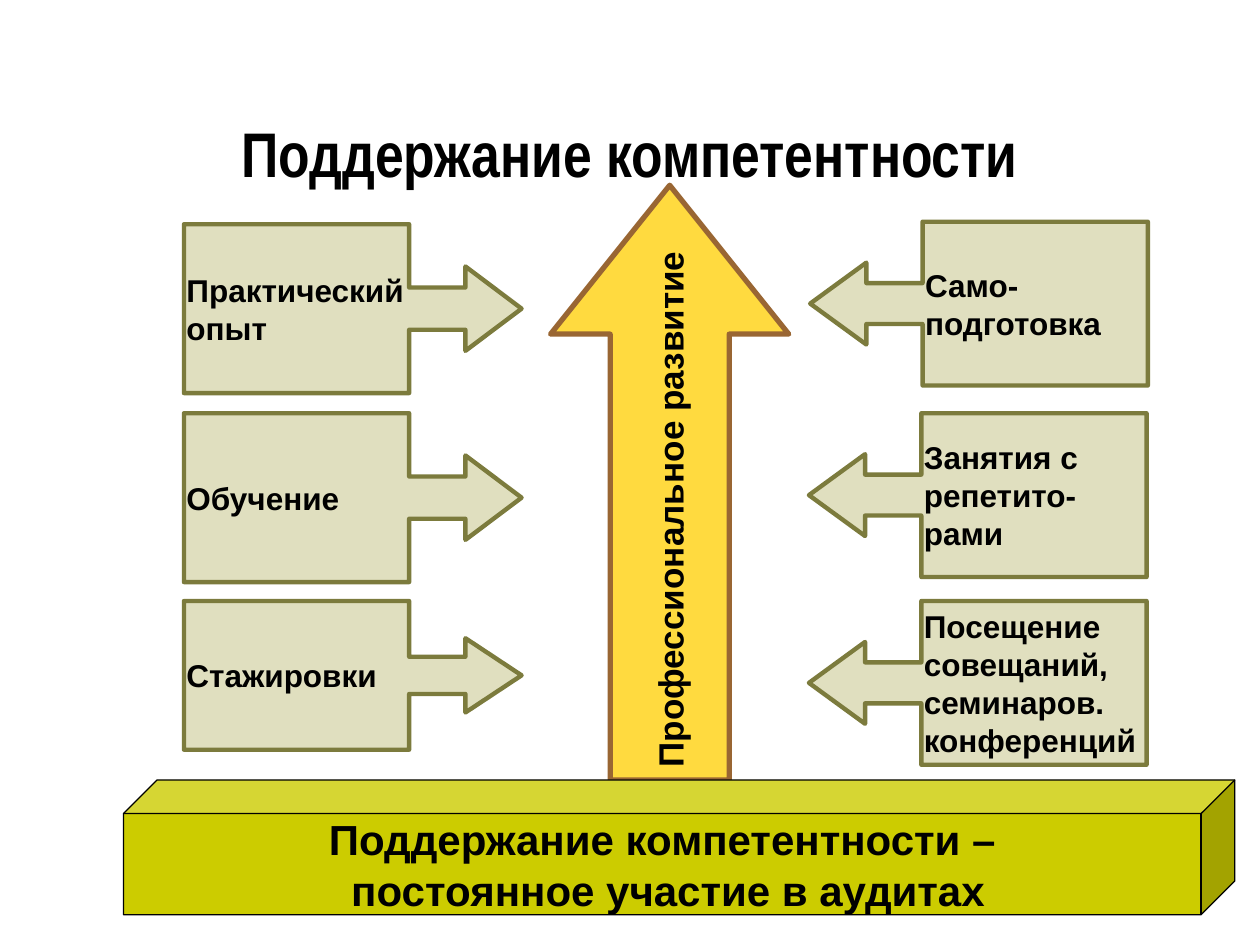
from dataclasses import dataclass

from pptx import Presentation
from pptx.dml.color import RGBColor
from pptx.enum.shapes import MSO_SHAPE as Preset
from pptx.enum.text import MSO_ANCHOR as Anchor, PP_ALIGN as Align
from pptx.shapes.autoshape import Shape
from pptx.util import Inches, Pt

COLORS = {
    "text": "000000",
    "callout": "E0DFBF",
    "callout_edge": "7C7B3D",
    "growth": "FFDA3F",
    "growth_edge": "996633",
    "base": "CCCC00",
}
CALLOUT_WIDTH = 2.68
CALLOUT_HEAD = 0.446


@dataclass
class Callout:
    label: str
    preset: Preset
    left: float
    top: float
    height: float


CALLOUTS = [
    Callout("Практический опыт", Preset.RIGHT_ARROW_CALLOUT, 1.46, 1.78, 1.34),
    Callout("Обучение", Preset.RIGHT_ARROW_CALLOUT, 1.46, 3.28, 1.34),
    Callout("Стажировки", Preset.RIGHT_ARROW_CALLOUT, 1.46, 4.77, 1.18),
    Callout("Само-подготовка", Preset.LEFT_ARROW_CALLOUT, 6.43, 1.76, 1.3),
    Callout("Занятия с репетито-рами", Preset.LEFT_ARROW_CALLOUT, 6.42, 3.28, 1.3),
    Callout("Посещение совещаний, семинаров. конференций",
            Preset.LEFT_ARROW_CALLOUT, 6.42, 4.77, 1.3),
]


def rgb(name: str) -> RGBColor:
    return RGBColor.from_string(COLORS[name])


def write(shape: Shape, text: str, *, size: float, font: str = "Arial",
          align: Align = Align.LEFT, inset_x: float = 0.1,
          inset_y: float = 0.05, wrap: bool = True) -> None:
    frame = shape.text_frame
    frame.word_wrap = wrap
    frame.vertical_anchor = Anchor.MIDDLE
    frame.margin_left = frame.margin_right = Inches(inset_x)
    frame.margin_top = frame.margin_bottom = Inches(inset_y)
    frame.text = text
    for paragraph in frame.paragraphs:
        paragraph.alignment = align
        paragraph.font.name = font
        paragraph.font.size = Pt(size)
        paragraph.font.bold = True
        paragraph.font.color.rgb = rgb("text")


def draw(slide, preset: Preset, left: float, top: float, width: float,
         height: float, *, fill: str, edge: str, weight: float,
         adjustments: list[float]) -> Shape:
    shape = slide.shapes.add_shape(
        preset, Inches(left), Inches(top), Inches(width), Inches(height))
    shape.shadow.inherit = False
    shape.fill.solid()
    shape.fill.fore_color.rgb = rgb(fill)
    shape.line.color.rgb = rgb(edge)
    shape.line.width = Pt(weight)
    for index, value in enumerate(adjustments):
        shape.adjustments[index] = value
    return shape


def draw_callout(slide, callout: Callout) -> None:
    shape = draw(slide, callout.preset, callout.left, callout.top,
                 CALLOUT_WIDTH, callout.height, fill="callout",
                 edge="callout_edge", weight=2.5,
                 adjustments=[0.25, 0.25, CALLOUT_HEAD / callout.height, 0.667])
    write(shape, callout.label, size=18, inset_x=0.02, inset_y=0.01)


def main() -> None:
    deck = Presentation()
    deck.slide_width, deck.slide_height = Inches(10), Inches(7.5)
    slide = deck.slides.add_slide(deck.slide_layouts[6])

    heading = slide.shapes.add_textbox(
        Inches(0.5), Inches(0.58), Inches(9), Inches(1.25))
    write(heading, "Поддержание компетентности", size=36,
          font="Arial Narrow", align=Align.CENTER)

    for callout in CALLOUTS:
        draw_callout(slide, callout)

    growth = draw(slide, Preset.DOWN_ARROW, 4.37, 1.47, 1.89, 4.72,
                  fill="growth", edge="growth_edge", weight=3,
                  adjustments=[0.5, 0.625])
    growth.rotation = 180
    write(growth, "Профессиональное развитие", size=20,
          inset_x=0.05, inset_y=0.1, wrap=False)
    growth.text_frame._txBody.bodyPr.set("vert", "eaVert")

    base = draw(slide, Preset.CUBE, 0.98, 6.19, 8.82, 1.07, fill="base",
                edge="text", weight=0.75, adjustments=[0.25])
    write(base, "Поддержание компетентности –\n постоянное участие в аудитах",
          size=24, align=Align.CENTER)

    deck.save("out.pptx")


if __name__ == "__main__":
    main()
